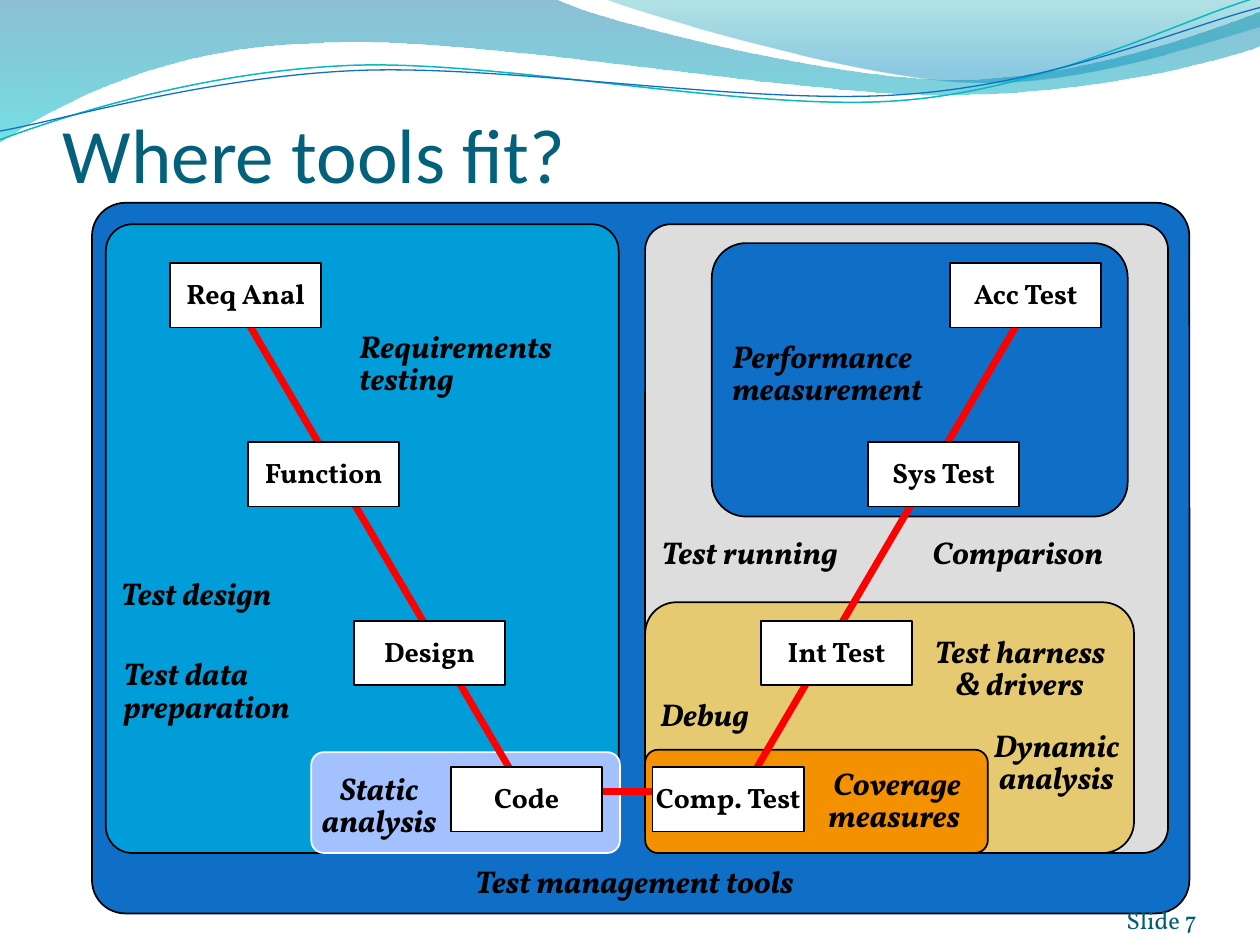
from lxml.etree import SubElement
from pptx import Presentation
from pptx.dml.color import RGBColor
from pptx.enum.shapes import MSO_CONNECTOR, MSO_SHAPE
from pptx.enum.text import MSO_ANCHOR, MSO_AUTO_SIZE, PP_ALIGN
from pptx.oxml.ns import qn
from pptx.util import Inches, Pt

THEME = {
    "ink": "000000", "paper": "FFFFFF", "title": "04617B", "footer": "045D75",
    "blue": "0F6FC6", "sky": "009DD9", "lilac": "A2C1FE", "grey": "DDDDDD",
    "sand": "E5CA72", "orange": "F49100", "link": "FF0000", "teal": "0AB8BF",
    "deep": "0074A1", "aqua": "00C6CF", "lagoon": "00A1A9", "azure": "008BBF",
    "heading": "Calibri", "body": "Vollkorn",
    "title_size": 44, "label_size": 18, "stage_size": 16, "footer_size": 14,
}
COLOR = {key: RGBColor.from_string(value) for key, value in THEME.items()
         if isinstance(value, str) and len(value) == 6}
LABEL = {"size": Pt(THEME["label_size"]), "name": THEME["body"], "bold": True, "italic": True}
STAGE = {"size": Pt(THEME["stage_size"]), "name": THEME["body"], "bold": True}
HEADING = {"size": Pt(THEME["title_size"]), "name": THEME["heading"]}
FOOTER = {"size": Pt(THEME["footer_size"]), "name": THEME["body"]}
LEFT, CENTER, RIGHT = PP_ALIGN.LEFT, PP_ALIGN.CENTER, PP_ALIGN.RIGHT


def write(holder, text, font_format, color, frame_format, align, spacing=1.0):
    frame = holder.text_frame
    frame.text = text
    for attribute, value in frame_format.items():
        setattr(frame, attribute, value)
    for paragraph in frame.paragraphs:
        paragraph.alignment = align
        paragraph.line_spacing = spacing
        for run in paragraph.runs:
            run.font.color.rgb = COLOR[color]
            for attribute, value in font_format.items():
                setattr(run.font, attribute, value)


def draw_curve(start, segments, closed):
    builder = slide.shapes.build_freeform(*map(Inches, start))
    for segment in segments:
        lengths = [Inches(value) for value in segment]
        builder.add_line_segments(list(zip(lengths[::2], lengths[1::2])), close=False)
    curve = builder.convert_to_shape()
    curve.shadow.inherit = False
    outline = next(curve._element.iter(qn("a:path")))
    corners = iter(outline.findall(qn("a:lnTo")))
    for segment in segments:
        steps = [next(corners) for _ in segment[::2]]
        if len(steps) == 3:
            bend = SubElement(outline, qn("a:cubicBezTo"))
            steps[0].addprevious(bend)
            for step in steps:
                bend.append(step[0])
                outline.remove(step)
    if closed:
        SubElement(outline, qn("a:close"))
    return curve


presentation = Presentation()
presentation.slide_width, presentation.slide_height = Inches(10), Inches(7.5)
slide = presentation.slides.add_slide(presentation.slide_layouts[6])

waves = [
    ((0, 0), [(4.4, -0.01), (4.76, 0.17, 6.64, 0.63, 7.58, 0.63),
              (8.53, 0.63, 9.58, 0.26, 10, 0.09), (10.01, 0.36),
              (9.83, 0.44, 8.7, 0.76, 7.46, 0.75), (6.22, 0.75, 3.82, 0.28, 2.57, 0.34),
              (1.29, 0.36, 0.46, 0.83, -0.01, 1.13)],
     [(0, "deep", 45), (1, "aqua", 55)]),
    ((4.79, -0.01), [(5.09, 0.11, 6.82, 0.62, 7.69, 0.65),
                     (8.56, 0.69, 9.61, 0.32, 10, 0.21), (10, 0)],
     [(0, "lagoon", 30), (0.8, "azure", 45)]),
]
for start, segments, stops in waves:
    wave = draw_curve(start, segments, True)
    wave.line.fill.background()
    wave.fill.gradient()
    wave.fill.gradient_angle = 270
    for gradient_stop, (position, color, _) in zip(wave.fill.gradient_stops, stops):
        gradient_stop.position = position
        gradient_stop.color.rgb = COLOR[color]
    for tint, (_, _, opacity) in zip(wave._element.spPr.iter(qn("a:srgbClr")), stops):
        SubElement(tint, qn("a:alpha")).set("val", str(opacity * 1000))

strands = [
    ((0, 1.11), [(0.48, 0.93, 1.58, 0.57, 2.77, 0.52), (3.95, 0.47, 5.93, 0.89, 7.13, 0.8),
                 (8.33, 0.71, 9.38, 0.15, 9.98, -0.02)], "teal", 0.85),
    ((0, 1.04), [(0.47, 0.96, 1.64, 0.61, 2.83, 0.56), (4.03, 0.51, 5.97, 0.84, 7.17, 0.75),
                 (8.36, 0.67, 9.41, 0.21, 10, 0.06)], "blue", 0.75),
]
for start, segments, color, width in strands:
    strand = draw_curve(start, segments, False)
    strand.fill.background()
    strand.line.color.rgb = COLOR[color]
    strand.line.width = Pt(width)

panels = [
    (0.73, 1.61, 8.71, 5.64, 0.047, "blue", "ink"),
    (0.84, 1.78, 4.07, 4.99, 0.052, "sky", "ink"),
    (2.47, 5.97, 2.45, 0.8, 0.125, "lilac", "paper"),
    (5.12, 1.78, 4.15, 4.99, 0.049, "grey", "ink"),
    (5.12, 4.78, 3.88, 1.99, 0.125, "sand", "ink"),
    (5.12, 5.95, 2.72, 0.82, 0.125, "orange", "ink"),
    (5.65, 1.93, 3.3, 2.17, 0.125, "blue", "ink"),
]
for *bounds, corner, fill, edge in panels:
    panel = slide.shapes.add_shape(MSO_SHAPE.ROUNDED_RECTANGLE, *map(Inches, bounds))
    panel.adjustments[0] = corner
    panel.shadow.inherit = False
    panel.fill.solid()
    panel.fill.fore_color.rgb = COLOR[fill]
    panel.line.color.rgb = COLOR[edge]
    panel.line.width = Pt(1)

links = [(4.31, 6.28, 5.85, 6.28), (8.15, 2.44, 5.85, 6.36), (1.85, 2.36, 4.15, 6.28)]
for ends in links:
    link = slide.shapes.add_connector(MSO_CONNECTOR.STRAIGHT, *map(Inches, ends))
    link.line.color.rgb = COLOR["link"]
    link.line.width = Pt(4)
    SubElement(link._element.spPr, qn("a:effectLst"))

levels = [
    (2.09, (1.35, "Req Anal"), (7.54, "Acc Test")),
    (3.51, (1.97, "Function"), (6.89, "Sys Test")),
    (4.93, (2.81, "Design"), (6.04, "Int Test")),
    (6.09, (3.58, "Code"), (5.18, "Comp. Test")),
]
stage_frame = {"margin_left": 0, "margin_right": 0, "margin_top": Inches(0.03),
               "margin_bottom": Inches(0.03), "word_wrap": False,
               "vertical_anchor": MSO_ANCHOR.MIDDLE}
for top, *pair in levels:
    for left, name in pair:
        stage = slide.shapes.add_shape(MSO_SHAPE.RECTANGLE, Inches(left), Inches(top),
                                       Inches(1.2), Inches(0.51))
        stage.shadow.inherit = False
        stage.fill.solid()
        stage.fill.fore_color.rgb = COLOR["paper"]
        stage.line.color.rgb = COLOR["ink"]
        stage.line.width = Pt(1)
        write(stage, name, STAGE, "ink", stage_frame, CENTER, 0.9)

tools = [
    (2.45, 6.12, 1.12, "Static\nanalysis", CENTER),
    (3.57, 6.86, 2.93, "Test management tools", CENTER),
    (0.89, 4.57, 1.46, "Test design", LEFT),
    (0.91, 5.21, 1.56, "Test data\npreparation", LEFT),
    (6.43, 6.08, 1.38, "Coverage\nmeasures ", CENTER),
    (5.18, 4.25, 1.65, "Test running", LEFT),
    (7.78, 5.78, 1.21, "Dynamic\nanalysis", CENTER),
    (5.13, 5.53, 0.92, "Debug", CENTER),
    (5.74, 2.69, 1.76, "Performance\vmeasurement", LEFT),
    (2.78, 2.61, 1.81, "Requirements\ntesting", LEFT),
    (7.29, 5.03, 1.61, "Test harness\n& drivers", CENTER),
    (7.33, 4.25, 1.6, "Comparison", LEFT),
]
tool_frame = {"margin_left": Inches(0.07), "margin_right": Inches(0.07),
              "margin_top": Inches(0.03), "margin_bottom": Inches(0.03),
              "word_wrap": False, "auto_size": MSO_AUTO_SIZE.SHAPE_TO_FIT_TEXT}
for left, top, width, name, align in tools:
    height = 0.31 if len(name.splitlines()) == 1 else 0.57
    tool = slide.shapes.add_textbox(*map(Inches, (left, top, width, height)))
    write(tool, name, LABEL, "ink", tool_frame, align, 0.85)

edge_frame = {"margin_left": 0, "margin_right": 0, "margin_top": 0, "margin_bottom": 0,
              "word_wrap": True, "vertical_anchor": MSO_ANCHOR.BOTTOM}
title = slide.shapes.add_textbox(Inches(0.5), Inches(0.33), Inches(9.17), Inches(1.25))
write(title, "Where tools fit?", HEADING, "title",
      {**edge_frame, "margin_top": Inches(0.05)}, LEFT)
footer = slide.shapes.add_textbox(Inches(8.67), Inches(7.02), Inches(0.83), Inches(0.4))
write(footer, "Slide 7", FOOTER, "footer", edge_frame, RIGHT)

presentation.save("out.pptx")
